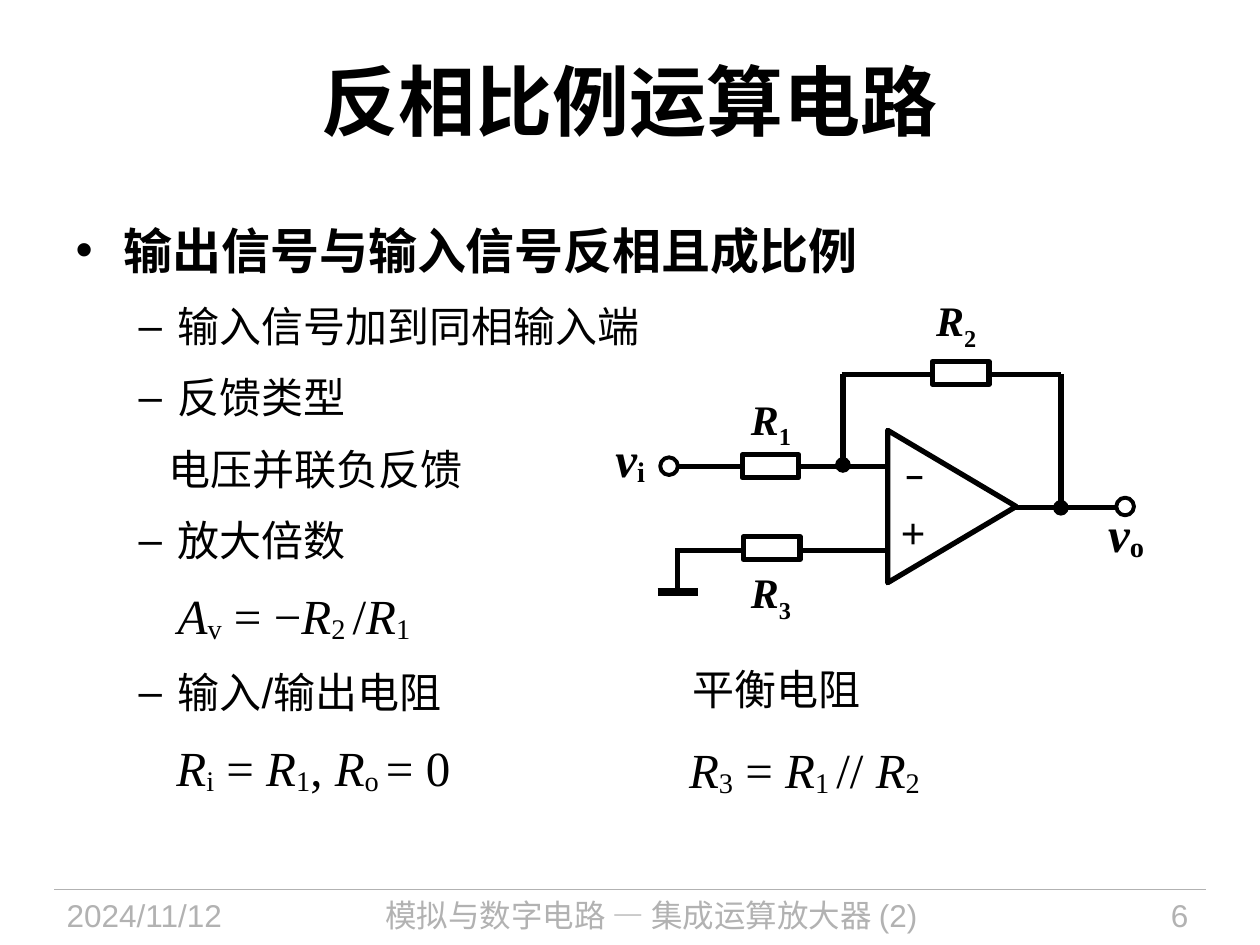
from lxml import etree
from pptx import Presentation
from pptx import util as u
from pptx.dml.color import RGBColor
from pptx.enum import shapes, text
from pptx.oxml.ns import qn

W, H = u.Inches(10), u.Inches(7.5)
COL, ROW = W / 100, H / 75
COLORS = {"ink": "000000", "paper": "FFFFFF", "footer": "B2B2B2"}
SERIF, SANS = "Times New Roman", "Arial"
LEFT, CENTER, RIGHT = text.PP_ALIGN.LEFT, text.PP_ALIGN.CENTER, text.PP_ALIGN.RIGHT
SHAPE = shapes.MSO_SHAPE
RESISTOR = (4.5, 1.8)
TERMINAL = (1.4, 1.4)

GAIN = [("A", "i"), ("v", "sub"), (" = −", ""), ("R", "i"), ("2 ", "sub"),
        ("/", ""), ("R", "i"), ("1", "sub")]
RESISTANCE = [("R", "i"), ("i", "sub"), (" = ", ""), ("R", "i"), ("1", "sub"),
              (", ", ""), ("R", "i"), ("o ", "sub"), ("= 0", "")]
BALANCE = [("R", "i"), ("3", "sub"), (" = ", ""), ("R", "i"), ("1 ", "sub"),
           ("// ", ""), ("R", "i"), ("2", "sub")]


def rgb(name):
    return RGBColor.from_string(COLORS[name])


def grid(x, y, w, h):
    return [int(v) for v in (x * COL, y * ROW, w * COL, h * ROW)]


def write(p, runs, size, font=SANS, bold=False, color="ink", drop=-10):
    for words, kind in runs:
        r = p.add_run()
        r.text = words
        style = {"size": u.Pt(size), "name": font, "bold": bold, "italic": kind == "i"}
        for key, value in style.items():
            setattr(r.font, key, value)
        r.font.color.rgb = rgb(color)
        if kind == "sub":
            r._r.get_or_add_rPr().set("baseline", str(drop * 1000))


def place(sp, box):
    for key, value in zip(("left", "top", "width", "height"), grid(*box)):
        setattr(sp, key, value)


def add_label(s, box, runs, size, align=LEFT, inset=True, wrap=False,
              anchor=text.MSO_ANCHOR.TOP, **style):
    tf = s.shapes.add_textbox(*grid(*box)).text_frame
    tf.word_wrap = wrap
    tf.vertical_anchor = anchor
    if not inset:
        for side in ("left", "top", "right", "bottom"):
            setattr(tf, "margin_" + side, 0)
    p = tf.paragraphs[0]
    p.alignment = align
    write(p, runs, size, **style)


def add_wire(s, x1, y1, x2, y2, width=3, color="ink", dot=False):
    cx = s.shapes.add_connector(shapes.MSO_CONNECTOR.STRAIGHT,
                                *grid(x1, y1, x2, y2))
    cx.line.color.rgb = rgb(color)
    cx.line.width = u.Pt(width)
    if dot:
        etree.SubElement(cx.line._get_or_add_ln(), qn("a:tailEnd"), type="oval")
    etree.SubElement(cx._element.spPr, qn("a:effectLst"))


def add_part(s, kind, box, width=3, filled=True):
    sp = s.shapes.add_shape(kind, *grid(*box))
    sp.shadow.inherit = False
    if filled:
        sp.fill.solid()
        sp.fill.fore_color.rgb = rgb("paper")
    else:
        sp.fill.background()
    sp.line.color.rgb = rgb("ink")
    sp.line.width = u.Pt(width)
    return sp


def add_title(s, words):
    sp = s.shapes.title
    place(sp, (5, 1.7, 90, 12.5))
    tf = sp.text_frame
    tf.vertical_anchor = text.MSO_ANCHOR.MIDDLE
    tf.paragraphs[0].alignment = CENTER
    write(tf.paragraphs[0], [(words, "")], 44, SERIF, True)


def add_item(p, runs, level, margin, indent, bullet, size, font=SANS, bold=False):
    p.level = level
    p.space_before, p.space_after = u.Pt(0), u.Pt(12)
    pPr = p._p.get_or_add_pPr()
    pPr.set("marL", str(u.Inches(margin)))
    pPr.set("indent", str(u.Inches(indent)))
    if bullet:
        etree.SubElement(pPr, qn("a:buChar"), char=bullet)
    else:
        etree.SubElement(pPr, qn("a:buNone"))
    write(p, runs, size, font, bold)


def add_body(s):
    sp = s.placeholders[1]
    place(sp, (5, 17, 84, 52.8))
    tf = sp.text_frame
    tf.auto_size = text.MSO_AUTO_SIZE.NONE
    dash = (1, 0.81, -0.31, "–", 24)
    items = [
        ([("输出信号与输入信号反相且成比例", "")], 0, 0.38, -0.38, "•", 28, SANS, True),
        ([("输入信号加到同相输入端", "")], *dash),
        ([("反馈类型", "")], *dash),
        ([("电压并联负反馈", "")], 1, 0.74, 0, None, 24),
        ([("放大倍数", "")], *dash),
        (GAIN, 1, 0.81, 0, None, 28, SERIF),
        ([("输入/输出电阻", "")], *dash),
        (RESISTANCE, 1, 0.8, 0, None, 28, SERIF),
    ]
    for n, item in enumerate(items):
        add_item(tf.add_paragraph() if n else tf.paragraphs[0], *item)


def add_footer(s):
    add_wire(s, 4.3, 70.6, 95.7, 70.6, 0.75, "footer")
    for x, w, words, align in (
            (4.3, 18.8, "2024/11/12", LEFT),
            (24.9, 53.6, "模拟与数字电路 — 集成运算放大器 (2)", CENTER),
            (82, 13.3, "6", RIGHT)):
        add_label(s, (x, 70.6, w, 4.4), [(words, "")], 18, align,
                  wrap=True, color="footer")


def add_circuit(s):
    for wire in ((53.7, 37, 70.4, 37), (53.8, 43.7, 70.3, 43.7),
                 (80.5, 40.3, 88.6, 40.3), (53.8, 43.5, 53.8, 46.9),
                 (66.8, 29.7, 84.2, 29.7)):
        add_wire(s, *wire)
    add_wire(s, 52.2, 47, 55.4, 47, 4.5)
    for x, y in ((84.2, 40.3), (66.9, 36.9)):
        add_wire(s, x, 29.7, x, y, dot=True)
    for x, y in ((58.9, 36.1), (59, 42.6), (74, 28.7)):
        add_part(s, SHAPE.RECTANGLE, (x, y, *RESISTOR))
    for x, y in ((52.4, 36.3), (88.6, 39.5)):
        add_part(s, SHAPE.OVAL, (x, y, *TERMINAL), 2.25)
    for n, x, y in (("1", 59.6, 31.2), ("2", 74.3, 23.4), ("3", 59.6, 45)):
        add_label(s, (x, y, 3.3, 4), [("R", "i"), (n, "sub")], 24,
                  inset=False, font=SERIF, bold=True, drop=-25)
    for n, x, y, w in (("i", 48.8, 34, 2.4), ("o", 87.8, 40, 3)):
        add_label(s, (x, y, w, 4.7), [("v", "i"), (n, "sub")], 28, RIGHT,
                  inset=False, font=SERIF, bold=True)
    for sign, box, size, bold in (("+", (71.5, 40.2, 1.9, 4), 24, False),
                                  ("–", (71.9, 36.1, 1.4, 3), 18, True)):
        add_label(s, box, [(sign, "")], size, inset=False,
                  anchor=text.MSO_ANCHOR.MIDDLE, bold=bold)
    amp = add_part(s, SHAPE.ISOSCELES_TRIANGLE, (69.5, 35.1, 12.1, 10.2), filled=False)
    amp.rotation = 90


def main():
    prs = Presentation()
    prs.slide_width, prs.slide_height = W, H
    s = prs.slides.add_slide(prs.slide_layouts[1])
    add_footer(s)
    add_title(s, "反相比例运算电路")
    add_body(s)
    add_circuit(s)
    add_label(s, (54, 52.2, 15.5, 5.1), [("平衡电阻", "")], 24)
    add_label(s, (53.7, 58.2, 21.8, 5.7), BALANCE, 28, font=SERIF)
    prs.save("out.pptx")


if __name__ == "__main__":
    main()
